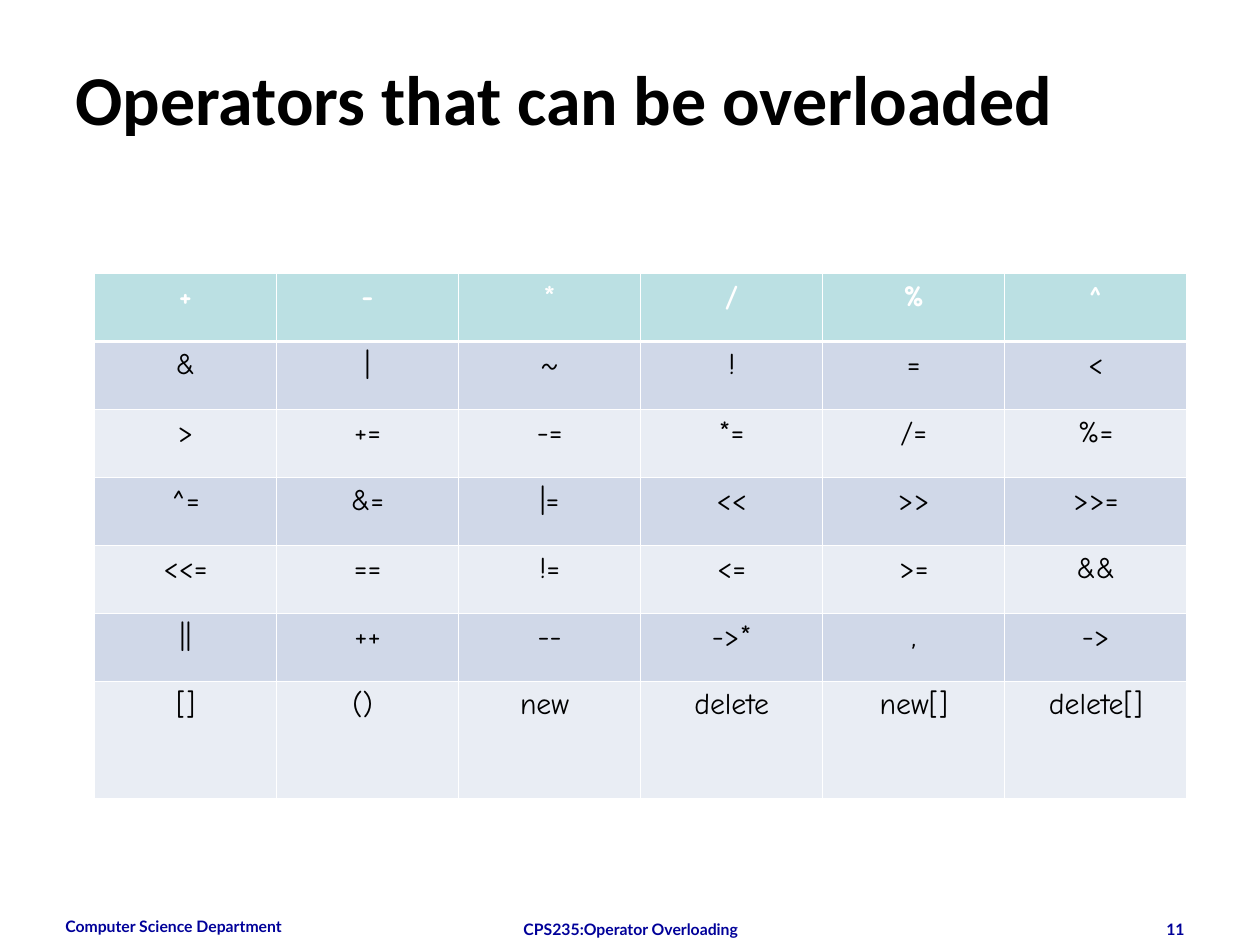
from dataclasses import dataclass
from typing import Any

from lxml import etree
from pptx import Presentation
from pptx import util as u
from pptx.dml.color import RGBColor
from pptx.enum import text
from pptx.oxml import ns

BLACK = RGBColor(0x00, 0x00, 0x00)
WHITE = RGBColor(0xFF, 0xFF, 0xFF)
NAVY = RGBColor(0x00, 0x00, 0x99)
TEAL = RGBColor(0xBB, 0xE0, 0xE3)
BAND_DARK = RGBColor(0xD0, 0xD8, 0xE8)
BAND_LIGHT = RGBColor(0xE9, 0xED, 0xF4)

THIN, THICK = 0.45, 1.47
ALIGN = text.PP_ALIGN

TITLE_FORMAT = {"name": "Calibri", "size": u.Pt(40), "bold": True}
FOOTER_FORMAT = {"name": "Lato", "size": u.Pt(9), "bold": True}
HEADER_FORMAT = {"name": "Comic Neue", "size": u.Pt(17), "bold": True}
CELL_FORMAT = {**HEADER_FORMAT, "bold": False}

OPERATORS = [
    ["+", "-", "*", "/", "%", "^"],
    ["&", "|", "~", "!", "=", "<"],
    [">", "+=", "-=", "*=", "/=", "%="],
    ["^=", "&=", "|=", "<<", ">>", ">>="],
    ["<<=", "==", "!=", "<=", ">=", "&&"],
    ["||", "++", "--", "->*", ",", "->"],
    ["[]", "() ", "new ", "delete", "new[]", "delete[]"],
]


@dataclass(frozen=True)
class Footer:
    wording: str
    left: float
    top: float
    width: float
    height: float
    align: Any


FOOTERS = [
    Footer("Computer Science Department", 0.42, 7.23, 2.33, 0.27, ALIGN.LEFT),
    Footer("CPS235:Operator Overloading", 3.42, 7.25, 3.17, 0.1, ALIGN.CENTER),
    Footer("11", 7.17, 7.25, 2.33, 0.1, ALIGN.RIGHT),
]


def write(frame: Any, wording: str, align: Any, values: dict, color: RGBColor) -> None:
    para = frame.paragraphs[0]
    para.alignment = align
    span = para.add_run()
    span.text = wording
    for name, value in values.items():
        setattr(span.font, name, value)
    span.font.color.rgb = color


def add_title(page: Any, wording: str) -> None:
    box = page.shapes.title
    box.left, box.top = u.Inches(0.5), u.Inches(0.3)
    box.width, box.height = u.Inches(9), u.Inches(0.95)
    box.text_frame.auto_size = text.MSO_AUTO_SIZE.NONE
    box.text_frame.vertical_anchor = text.MSO_ANCHOR.MIDDLE
    write(box.text_frame, wording, ALIGN.LEFT, TITLE_FORMAT, BLACK)


def add_footer(page: Any, footer: Footer) -> None:
    box = page.shapes.add_textbox(
        u.Inches(footer.left), u.Inches(footer.top),
        u.Inches(footer.width), u.Inches(footer.height),
    )
    box.text_frame.word_wrap = True
    write(box.text_frame, footer.wording, footer.align, FOOTER_FORMAT, NAVY)


def set_borders(cell: Any, widths: dict[str, float]) -> None:
    properties = cell._tc.get_or_add_tcPr()
    for position, (side, width) in enumerate(widths.items()):
        line = etree.Element(ns.qn(f"a:{side}"), w=str(u.Pt(width)))
        fill = etree.SubElement(line, ns.qn("a:solidFill"))
        etree.SubElement(fill, ns.qn("a:srgbClr"), val=str(WHITE))
        properties.insert(position, line)


def add_operator_table(page: Any) -> None:
    row_count, column_count = len(OPERATORS), len(OPERATORS[0])
    table = page.shapes.add_table(
        row_count, column_count,
        u.Inches(0.75), u.Inches(2.17), u.Inches(8.67), u.Inches(4.17),
    ).table
    for row in table.rows:
        row.height = u.Inches(0.54)
    table.rows[row_count - 1].height = u.Inches(0.93)
    for r, operators in enumerate(OPERATORS):
        header = r == 0
        band = TEAL if header else BAND_DARK if r % 2 else BAND_LIGHT
        widths = {
            "lnL": THIN,
            "lnR": THIN,
            "lnT": THICK if r == 1 else THIN,
            "lnB": THICK if header else THIN,
        }
        for c, operator in enumerate(operators):
            cell = table.cell(r, c)
            cell.fill.solid()
            cell.fill.fore_color.rgb = band
            set_borders(cell, widths)
            write(
                cell.text_frame, operator, ALIGN.CENTER,
                HEADER_FORMAT if header else CELL_FORMAT,
                WHITE if header else BLACK,
            )


def main() -> None:
    deck = Presentation()
    deck.slide_width, deck.slide_height = u.Inches(10), u.Inches(7.5)
    page = deck.slides.add_slide(deck.slide_layouts.get_by_name("Title Only"))
    add_title(page, "Operators that can be overloaded")
    for footer in FOOTERS:
        add_footer(page, footer)
    add_operator_table(page)
    deck.save("out.pptx")


if __name__ == "__main__":
    main()
